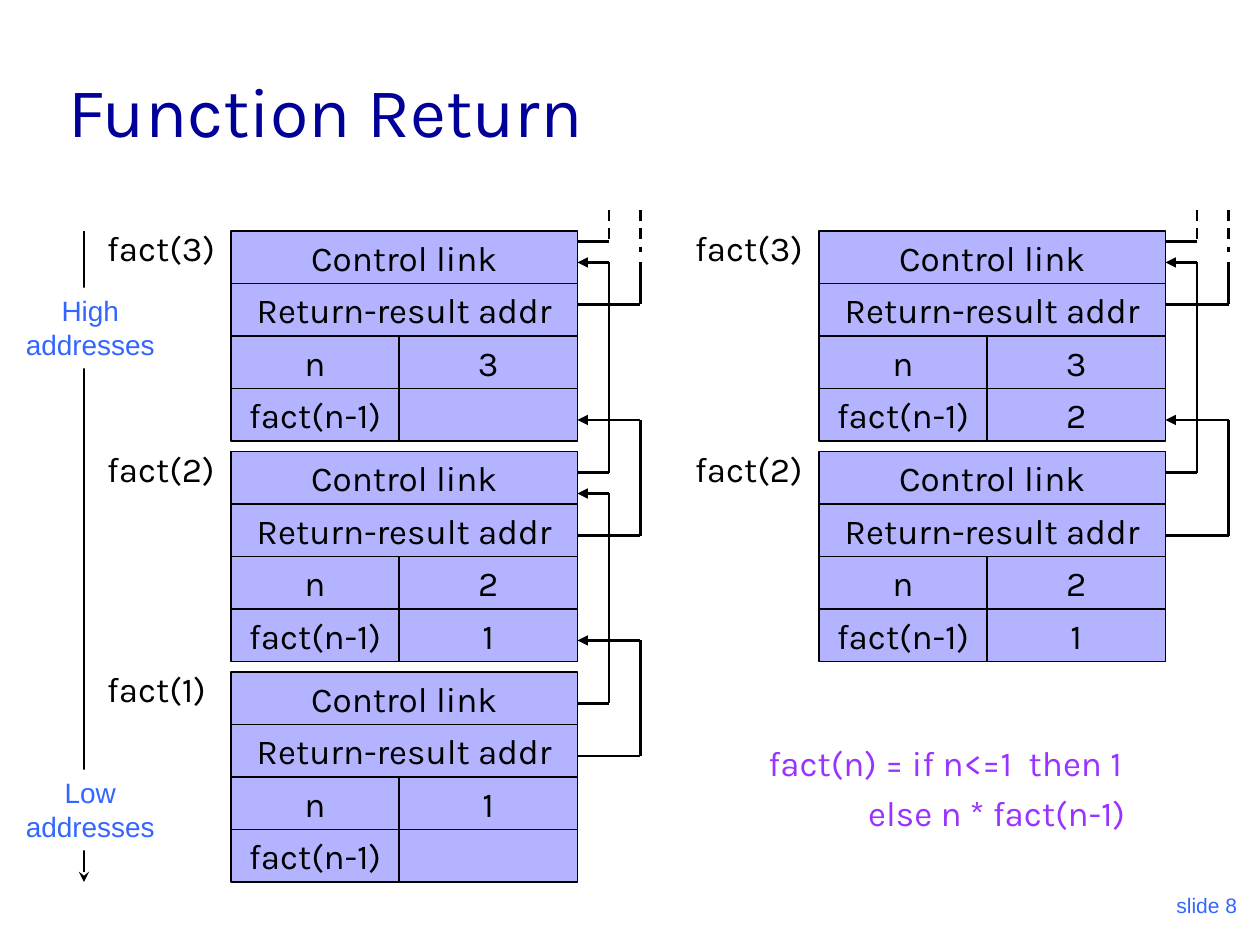
"""Build the Function Return slide: activation records linked on a call stack."""
import pptx
import pptx.dml.color
import pptx.enum.dml
import pptx.enum.shapes
import pptx.enum.text
import pptx.oxml.ns
import pptx.util
from lxml import etree

PX = 7620
RGB = pptx.dml.color.RGBColor
BLACK = RGB(0x00, 0x00, 0x00)
WHITE = RGB(0xFF, 0xFF, 0xFF)
NAVY = RGB(0x00, 0x00, 0x99)
BLUE = RGB(0x33, 0x66, 0xFF)
LILAC = RGB(0xB3, 0xB3, 0xFF)
PURPLE = RGB(0x99, 0x33, 0xFF)
ALIGN = pptx.enum.text.PP_ALIGN
ANCHOR = pptx.enum.text.MSO_ANCHOR
DASH = pptx.enum.dml.MSO_LINE.DASH
QN = pptx.oxml.ns.qn

deck = pptx.Presentation()
deck.slide_width, deck.slide_height = 1200 * PX, 900 * PX
slide = deck.slides.add_slide(deck.slide_layouts[6])


def box(x, y, w, h, text, size=20, color=BLACK, font="Karla", fill=None,
        edge=None, align=ALIGN.LEFT, anchor=ANCHOR.TOP):
    area = [n * PX for n in (x, y, w, h)]
    if fill is None:
        shape = slide.shapes.add_textbox(*area)
    else:
        shape = slide.shapes.add_shape(pptx.enum.shapes.MSO_SHAPE.RECTANGLE, *area)
        shape.shadow.inherit = False
        shape.fill.solid()
        shape.fill.fore_color.rgb = fill
        if edge is None:
            shape.line.fill.background()
        else:
            shape.line.color.rgb = edge
            shape.line.width = pptx.util.Pt(0.75)
    frame = shape.text_frame
    frame.word_wrap = fill is None
    frame.vertical_anchor = anchor
    for i, part in enumerate(text.split("\n") if text else []):
        para = frame.add_paragraph() if i else frame.paragraphs[0]
        para.alignment = align
        run = para.add_run()
        run.text = part
        run.font.size = pptx.util.Pt(size)
        run.font.name = font
        run.font.color.rgb = color
    return frame


def line(x1, y1, x2, y2, width=1.5, dash=None, head=None, tail=None):
    wire = slide.shapes.add_connector(
        pptx.enum.shapes.MSO_CONNECTOR.STRAIGHT, x1 * PX, y1 * PX, x2 * PX, y2 * PX)
    wire.line.color.rgb = BLACK
    wire.line.width = pptx.util.Pt(width)
    if dash:
        wire.line.dash_style = dash
    props = wire.line._get_or_add_ln()
    for tag, kind in (("a:headEnd", head), ("a:tailEnd", tail)):
        if kind:
            etree.SubElement(props, QN(tag)).set("type", kind)
    etree.SubElement(wire._element.spPr, QN("a:effectLst"))


box(940, 820, 250, 60, "slide 8", 12, BLUE, "Arial", align=ALIGN.RIGHT, anchor=ANCHOR.BOTTOM)
box(53, 30, 1020, 120, "Function Return", 40, NAVY, anchor=ANCHOR.BOTTOM)

ROW, STEP, TOP = 50, 210, 220
WIDE, LEFT = 330, 160
STACKS = [
    (220, [("3", ""), ("2", "1"), ("1", "")]),
    (780, [("3", "2"), ("2", "1")]),
]
for x, calls in STACKS:
    edge = x + WIDE
    near, far = edge + 30, edge + 60
    for i, (arg, result) in enumerate(calls):
        y = TOP + i * STEP
        cells = [
            (0, 0, WIDE, "Control link"),
            (0, 1, WIDE, "Return-result addr"),
            (0, 2, LEFT, "n"),
            (LEFT, 2, WIDE - LEFT, arg),
            (0, 3, LEFT, "fact(n-1)"),
            (LEFT, 3, WIDE - LEFT, result),
        ]
        for dx, row, w, text in cells:
            box(x + dx, y + row * ROW, w, ROW, text, fill=LILAC, edge=BLACK,
                align=ALIGN.CENTER, anchor=ANCHOR.MIDDLE)
        box(x - 130, y - 10, 150, 53, f"fact({arg})")

        out = y + 10 + 10 * max(i, 0)
        line(edge, out, near, out)
        line(edge, y + 80 - 10 * (i == 0), far, y + 80 - 10 * (i == 0))
        if i == 0:
            line(near, y - 20, near, out, dash=DASH)
            line(far, y - 20, far, y + 20, dash=DASH)
            line(far, y + 30, far, y + 70)
        else:
            back = y - STEP + 20 + 10 * i
            line(near, back, near, out)
            line(edge, back, near, back, head="triangle")
            line(far, y - 30, far, y + 80)
            line(edge, y - 30, far, y - 30, head="triangle")

rule = box(660, 700, 480, 130, "fact(n) = if n<=1  then 1\nelse n * fact(n-1)", color=PURPLE)
for para, indent in zip(rule.paragraphs, (60, 155)):
    para.space_before = pptx.util.Pt(5)
    para._p.get_or_add_pPr().set("marL", str(indent * PX))

line(80, 220, 80, 840, width=1.25, tail="stealth")
for y, level in ((274, "High"), (733, "Low")):
    box(13, y, 146, 77, f"{level}\naddresses", 16, BLUE, "Arial", fill=WHITE, align=ALIGN.CENTER)

deck.save("out.pptx")
